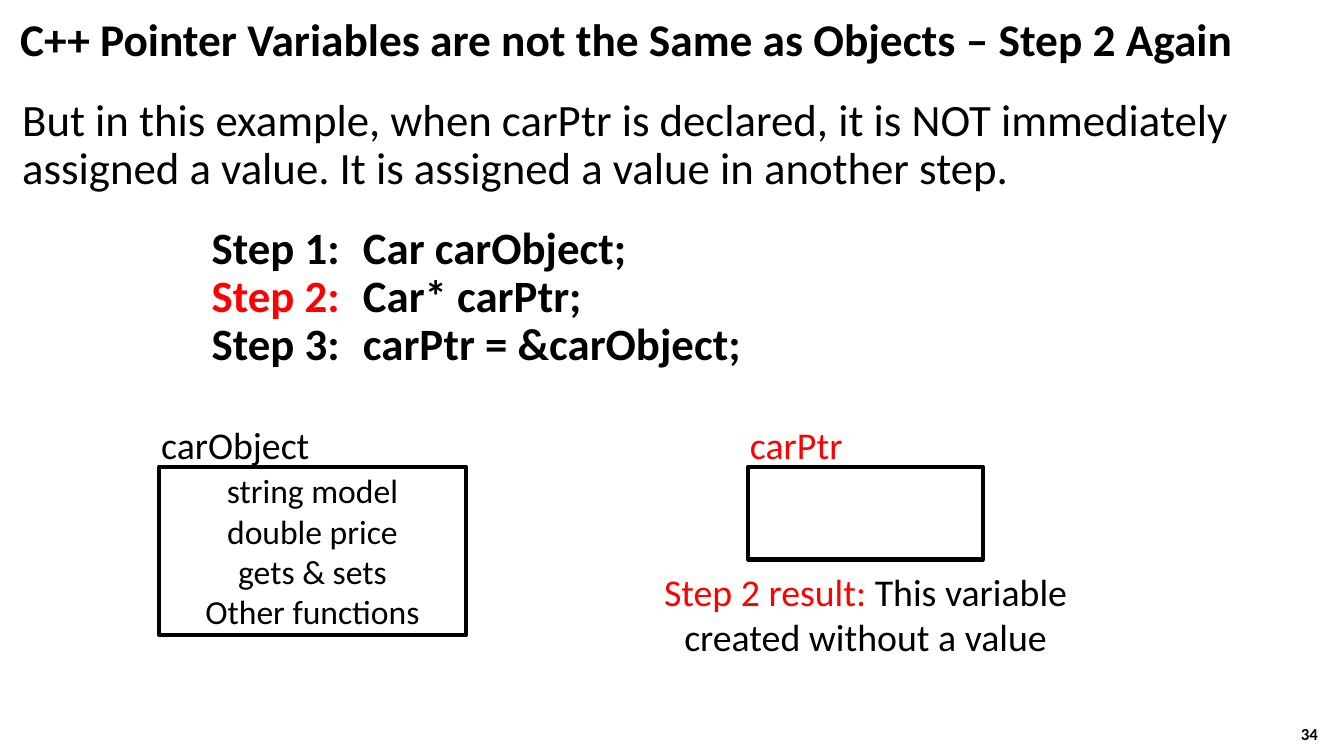
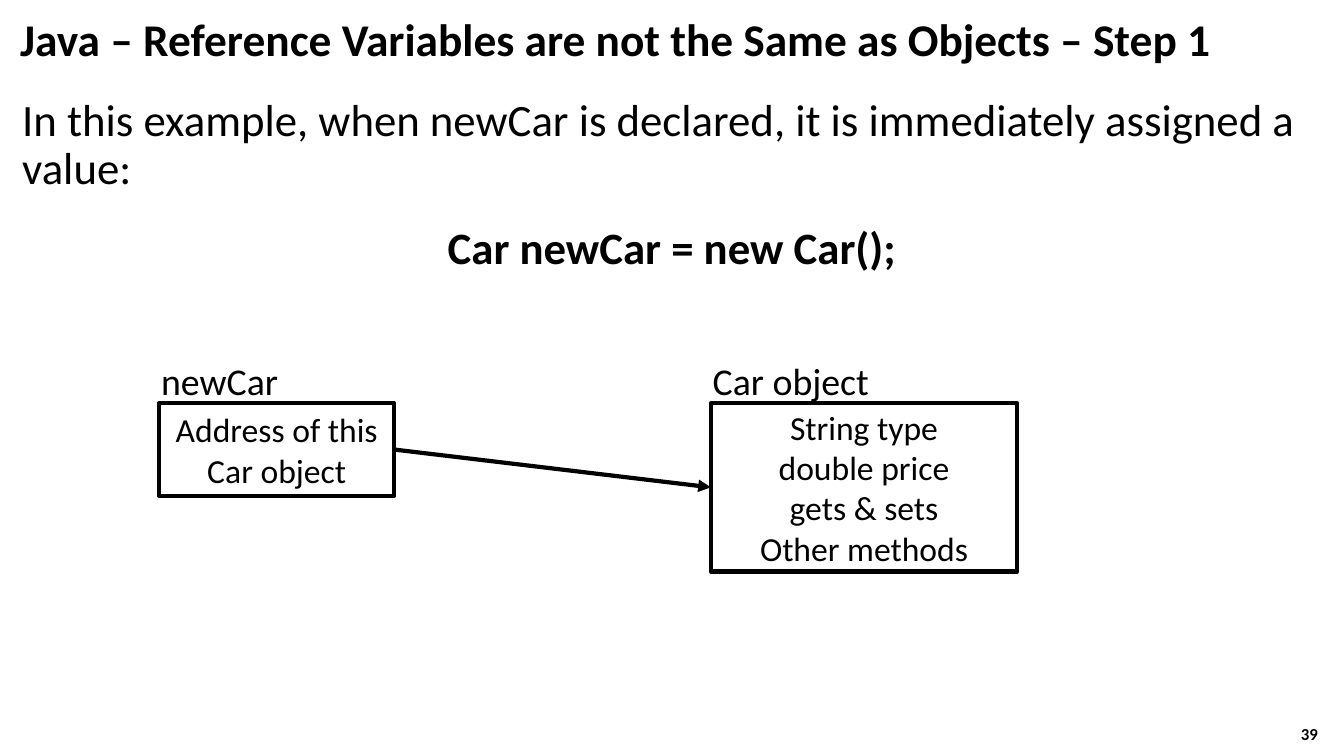
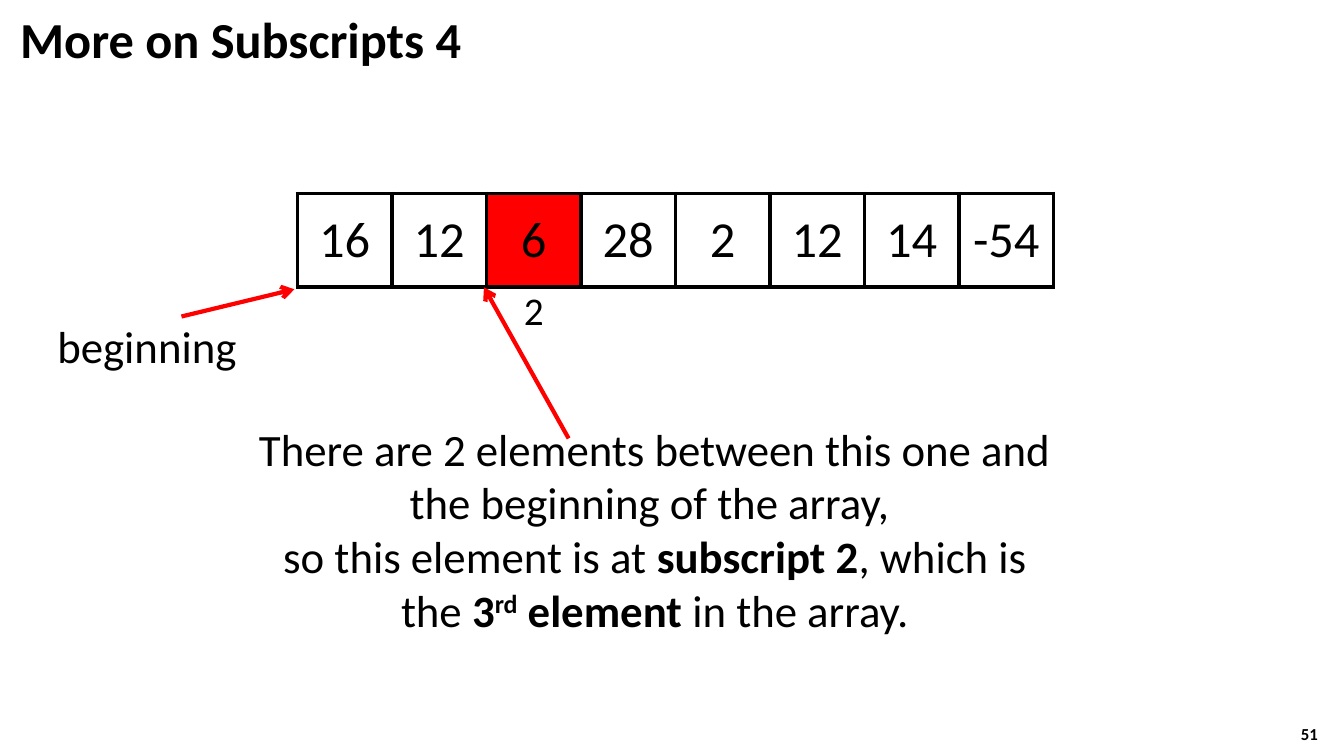
from lxml import etree
from pptx import Presentation
from pptx import util as u
from pptx.dml.color import RGBColor
from pptx.enum import shapes, text
from pptx.oxml import ns

Inches, Pt = u.Inches, u.Pt
FONT, BLACK, RED, WHITE = "Calibri", "000000", "FF0000", "FFFFFF"
LINE_WIDTH = 3
SLIDE_WIDTH, SLIDE_HEIGHT = 13.33, 7.5
TITLE_AND_BODY, TITLE_ONLY = 1, 5
LEFT, CENTER, RIGHT = text.PP_ALIGN.LEFT, text.PP_ALIGN.CENTER, text.PP_ALIGN.RIGHT
MIDDLE = text.MSO_ANCHOR.MIDDLE
NO_TABLE_STYLE = "{2D5ABB26-0587-4C30-8999-92F81FD0307C}"


def rgb(color):
    """Turn a hex string into a colour."""
    return RGBColor.from_string(color)


def add_child(parent, tag, **attributes):
    """Append a drawing element to its parent."""
    return etree.SubElement(parent, ns.qn(tag), attributes)


def place(shape, left, top, width, height):
    """Move a shape to a box given in inches."""
    shape.left, shape.top = Inches(left), Inches(top)
    shape.width, shape.height = Inches(width), Inches(height)


def write(paragraph, runs, size, align=LEFT, color=BLACK, bold=False):
    """Fill a paragraph from text or (text, overrides) runs."""
    paragraph.alignment = align
    paragraph.font.name, paragraph.font.size = FONT, Pt(size)
    paragraph.font.color.rgb, paragraph.font.bold = rgb(color), bold
    for content, style in [(runs, {})] if isinstance(runs, str) else runs:
        for index, line in enumerate(content.split("\n")):
            if index:
                paragraph.add_line_break()
            if not line:
                continue
            run = paragraph.add_run()
            run.text = line
            if "color" in style:
                run.font.color.rgb = rgb(style["color"])
            if "bold" in style:
                run.font.bold = style["bold"]
            if "baseline" in style:
                run._r.get_or_add_rPr().set("baseline", style["baseline"])


def add_text(slide, box, runs, size, anchor=text.MSO_ANCHOR.TOP, **style):
    """Add a wrapping text box."""
    frame = slide.shapes.add_textbox(*map(Inches, box)).text_frame
    frame.word_wrap, frame.vertical_anchor = True, anchor
    write(frame.paragraphs[0], runs, size, **style)


def add_slide(presentation, layout, title, number, title_size=32.4):
    """Add a slide with the shared title style and page number."""
    slide = presentation.slides.add_slide(presentation.slide_layouts[layout])
    place(slide.shapes.title, 0, 0, SLIDE_WIDTH, 0.83)
    frame = slide.shapes.title.text_frame
    frame.auto_size, frame.vertical_anchor = text.MSO_AUTO_SIZE.NONE, MIDDLE
    frame.margin_left = Inches(0.2)
    frame.paragraphs[0].line_spacing = 0.9
    write(frame.paragraphs[0], title, title_size, bold=True)
    add_text(slide, (12.17, 7.08, 1, 0.4), str(number), 12, MIDDLE, align=RIGHT, bold=True)
    return slide


def fill_body(slide, intro, code, code_align=LEFT, code_indent=0):
    """Write an introduction and bold code lines into the body."""
    body = slide.placeholders[1]
    place(body, 0, 0.92, SLIDE_WIDTH, 6.1)
    frame = body.text_frame
    frame.auto_size = text.MSO_AUTO_SIZE.NONE
    paragraphs = [frame.paragraphs[0], frame.add_paragraph()]
    paragraphs[0].space_before, paragraphs[1].space_before = Pt(0), Pt(22)
    for paragraph, indent in zip(paragraphs, (0.12, code_indent)):
        paragraph.line_spacing = 0.9
        properties = paragraph._p.get_or_add_pPr()
        properties.set("marL", str(Inches(indent)))
        properties.set("indent", "0")
        add_child(properties, "a:buNone")
        if code_indent:
            tabs = add_child(properties, "a:tabLst")
            for position in (2, 4):
                add_child(tabs, "a:tab", pos=str(Inches(position)), algn="l")
    write(paragraphs[0], intro, 32)
    write(paragraphs[1], code, 32, code_align, bold=True)


def add_variable(slide, box, label, lines=(), label_color=BLACK):
    """Draw a memory box with its name above and its content inside."""
    left, top, width, height = box
    shape = slide.shapes.add_shape(shapes.MSO_SHAPE.RECTANGLE, *map(Inches, box))
    shape.shadow.inherit = False
    shape.fill.background()
    shape.line.color.rgb, shape.line.width = rgb(BLACK), Pt(LINE_WIDTH)
    frame = shape.text_frame
    frame.vertical_anchor = MIDDLE
    for index, line in enumerate(lines):
        paragraph = frame.add_paragraph() if index else frame.paragraphs[0]
        write(paragraph, line, 24, CENTER)
    add_text(slide, (left - 0.08, top - 0.5, width, 0.56), label, 27, color=label_color)
    return shape


def add_arrow(slide, start, end, color, head):
    """Draw a straight arrow between two points."""
    arrow = slide.shapes.add_connector(
        shapes.MSO_CONNECTOR.STRAIGHT, *map(Inches, (*start, *end)))
    arrow.line.color.rgb, arrow.line.width = rgb(color), Pt(LINE_WIDTH)
    add_child(arrow.line._get_or_add_ln(), "a:tailEnd", type=head)
    add_child(arrow._element.spPr, "a:effectLst")
    return arrow


def add_border(cell):
    """Draw a black line on all four sides of a cell."""
    properties = cell._tc.get_or_add_tcPr()
    for index, side in enumerate(("a:lnL", "a:lnR", "a:lnT", "a:lnB")):
        line = etree.Element(ns.qn(side), w=str(Pt(LINE_WIDTH)))
        add_child(add_child(line, "a:solidFill"), "a:srgbClr", val=BLACK)
        properties.insert(index, line)


def add_row(slide, box, values, size, highlight=None, bordered=False):
    """Add a one-row table of equal cells."""
    left, top, width, height = box
    table = slide.shapes.add_table(1, len(values), *map(Inches, box)).table
    table.first_row = table.horz_banding = False
    table._tbl.tblPr.find(ns.qn("a:tableStyleId")).text = NO_TABLE_STYLE
    for index, value in enumerate(values):
        table.columns[index].width = Inches(width / len(values))
        cell = table.cell(0, index)
        if index == highlight:
            cell.fill.solid()
            cell.fill.fore_color.rgb = rgb(RED)
        else:
            cell.fill.background()
        if bordered:
            cell.vertical_anchor = MIDDLE
            add_border(cell)
        if value:
            write(cell.text_frame.paragraphs[0], value, size, CENTER)


def build_pointer_slide(presentation):
    """Show a pointer that has no value yet."""
    slide = add_slide(presentation, TITLE_AND_BODY,
                      "C++ Pointer Variables are not the Same as Objects – Step 2 Again", 34)
    fill_body(slide,
              "But in this example, when carPtr is declared, it is NOT immediately "
              "assigned a value. It is assigned a value in another step.",
              [("Step 1:\tCar carObject;\n", {}), ("Step 2:", {"color": RED}),
               ("\tCar* carPtr;\nStep 3:\tcarPtr = &carObject;", {})], code_indent=2)
    add_variable(slide, (1.58, 4.63, 3.04, 1.67), "carObject",
                 ["string model", "double price", "gets & sets", "Other functions"])
    add_variable(slide, (7.42, 4.63, 2.33, 0.92), "carPtr", label_color=RED)
    add_text(slide, (6.45, 5.59, 4.27, 1.01),
             [("Step 2 result: ", {"color": RED}),
              ("This variable created without a value", {})], 27, align=CENTER)


def build_reference_slide(presentation):
    """Show a reference variable that points to its object."""
    slide = add_slide(presentation, TITLE_AND_BODY,
                      "Java – Reference Variables are not the Same as Objects – Step 1", 39)
    fill_body(slide,
              "In this example, when newCar is declared, it is immediately assigned a value:",
              "Car newCar = new Car();", CENTER)
    reference = add_variable(slide, (1.58, 4, 2.33, 0.92), "newCar",
                             ["Address of this Car object"])
    car = add_variable(slide, (7.05, 4, 3.04, 1.67), "Car object",
                       ["String type", "double price", "gets & sets", "Other methods"])
    arrow = add_arrow(slide, (3.92, 4.46), (7.05, 4.83), BLACK, "triangle")
    arrow.begin_connect(reference, 3)
    arrow.end_connect(car, 1)


def build_subscript_slide(presentation):
    """Show how a subscript counts from the start of an array."""
    slide = add_slide(presentation, TITLE_ONLY, "More on Subscripts 4", 51, 36)
    values = ["16", "12", "6", "28", "2", "12", "14", "-54"]
    subscript = 2
    left, top, width, height = 2.95, 1.92, 7.5, 0.93
    marks = [str(index) if index == subscript else "" for index in range(len(values))]
    add_arrow(slide, (1.8, 3.14), (2.92, 2.87), RED, "arrow")
    add_text(slide, (0.47, 3.11, 2.02, 0.64), "beginning", 32)
    add_row(slide, (left, top, width, height), values, 36, subscript, bordered=True)
    add_row(slide, (left, 2.81, width, 0.58), marks, 28)
    add_arrow(slide, (5.64, 4.35), (4.8, top + height), RED, "arrow")
    bold = {"bold": True}
    add_text(slide, (2.36, 4.13, 8.27, 2.26),
             [("There are 2 elements between this one and the beginning of the array, \n"
               "so this element is at ", {}),
              ("subscript 2", bold), (", which is the ", {}), ("3", bold),
              ("rd", {"bold": True, "baseline": "30000"}), (" element ", bold),
              ("in the array.", {})], 32, align=CENTER)


def main():
    """Build the presentation and save it."""
    presentation = Presentation()
    presentation.slide_width = Inches(SLIDE_WIDTH)
    presentation.slide_height = Inches(SLIDE_HEIGHT)
    background = presentation.slide_master.background.fill
    background.solid()
    background.fore_color.rgb = rgb(WHITE)
    build_pointer_slide(presentation)
    build_reference_slide(presentation)
    build_subscript_slide(presentation)
    presentation.save("out.pptx")


if __name__ == "__main__":
    main()
